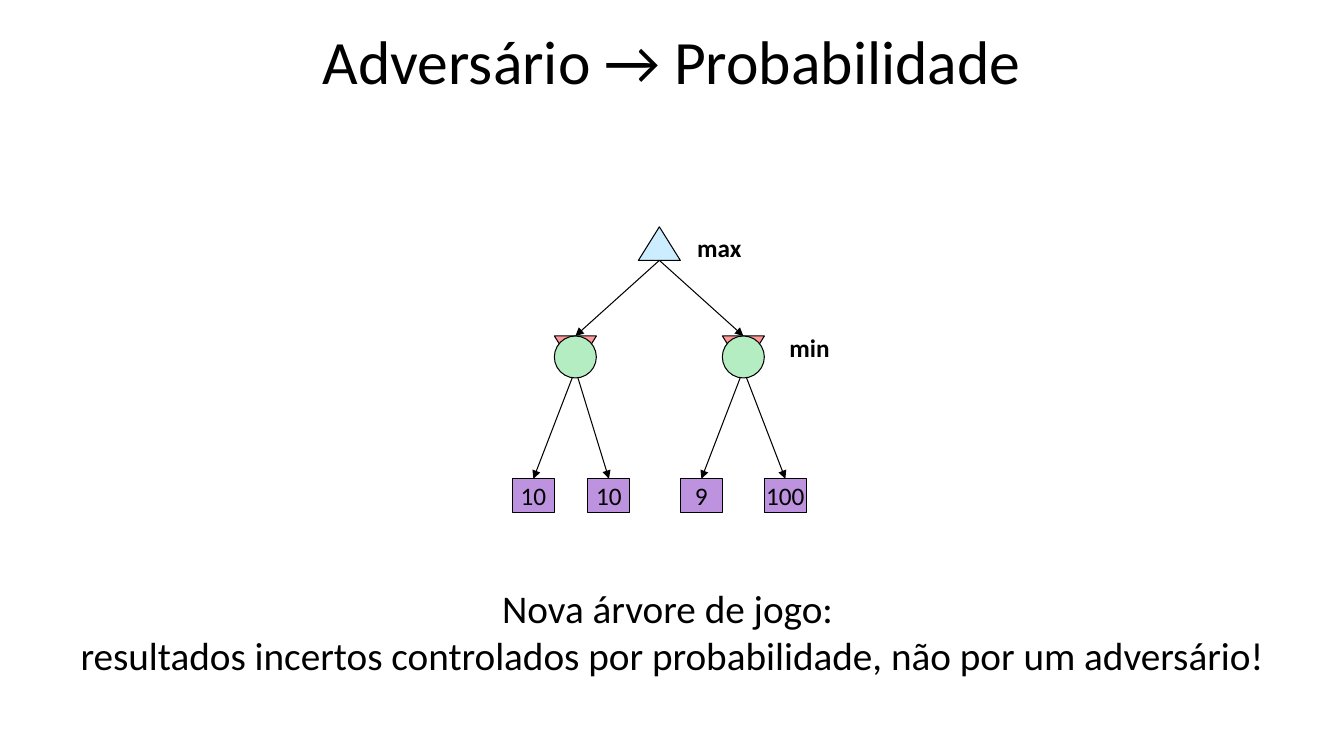
from lxml import etree
from pptx import Presentation
from pptx.dml.color import RGBColor
from pptx.enum.shapes import MSO_CONNECTOR, MSO_SHAPE
from pptx.enum.text import MSO_ANCHOR, MSO_AUTO_SIZE, PP_ALIGN
from pptx.oxml.ns import qn
from pptx.util import Pt

TRIANGLE = MSO_SHAPE.ISOSCELES_TRIANGLE
CIRCLE = MSO_SHAPE.OVAL
RECTANGLE = MSO_SHAPE.RECTANGLE
STRAIGHT = MSO_CONNECTOR.STRAIGHT
CENTER = PP_ALIGN.CENTER
MIDDLE, TOP = MSO_ANCHOR.MIDDLE, MSO_ANCHOR.TOP
NO_FIT, GROW = MSO_AUTO_SIZE.NONE, MSO_AUTO_SIZE.SHAPE_TO_FIT_TEXT

PAGE_WIDTH, PAGE_HEIGHT = 960, 540
NODE_WIDTH, NODE_HEIGHT = 30, 24
MAX_TOP, MIN_TOP, LEAF_TOP = 162, 240, 342
ROOT_CENTER = 471
# Centre of each chance node with the (centre, value) of its leaves
BRANCHES = {
    411: [(381, "10"), (435, "10")],
    531: [(501, "9"), (561, "100")],
}


def color(hex_value):
    return RGBColor.from_string(hex_value)


def write(frame, text, size=18, bold=False, anchor=MIDDLE, wrap=True, fit=NO_FIT):
    """Fill a text frame with centred paragraphs, one for each line."""
    frame.text = text
    frame.word_wrap = wrap
    frame.auto_size = fit
    frame.vertical_anchor = anchor
    for para in frame.paragraphs:
        para.alignment = CENTER
        for span in para.runs:
            span.font.name = "Calibri"
            span.font.size = Pt(size)
            span.font.bold = bold
            span.font.color.rgb = color("000000")


class SlideBuilder:
    ink = "000000"
    line_width = 0.75

    def __init__(self, deck):
        self.page = deck.slides.add_slide(deck.slide_layouts[5])

    def outline(self, line):
        line.color.rgb = color(self.ink)
        line.width = Pt(self.line_width)

    def title(self, text, left, top, width, height):
        box = self.page.shapes.title
        box.left, box.top, box.width, box.height = map(Pt, (left, top, width, height))
        write(box.text_frame, text, size=44)

    def node(self, kind, center, top, fill, height=NODE_HEIGHT, rotation=0, text=None):
        left = center - NODE_WIDTH / 2
        box = self.page.shapes.add_shape(
            kind, Pt(left), Pt(top), Pt(NODE_WIDTH), Pt(height))
        box.shadow.inherit = False
        box.rotation = rotation
        box.fill.solid()
        box.fill.fore_color.rgb = color(fill)
        self.outline(box.line)
        if text:
            write(box.text_frame, text, wrap=False)

    def arrow(self, x1, y1, x2, y2):
        edge = self.page.shapes.add_connector(STRAIGHT, Pt(x1), Pt(y1), Pt(x2), Pt(y2))
        self.outline(edge.line)
        etree.SubElement(edge.line._get_or_add_ln(), qn("a:tailEnd"), type="triangle")
        etree.SubElement(edge._element.spPr, qn("a:effectLst"))

    def text(self, text, left, top, width, height, **style):
        box = self.page.shapes.add_textbox(Pt(left), Pt(top), Pt(width), Pt(height))
        write(box.text_frame, text, fit=GROW, **style)


def main():
    deck = Presentation()
    deck.slide_width, deck.slide_height = Pt(PAGE_WIDTH), Pt(PAGE_HEIGHT)
    slide = SlideBuilder(deck)
    slide.title("Adversário → Probabilidade", 0, -2, PAGE_WIDTH, 90)

    # Game tree: max node, min nodes and leaves
    slide.node(TRIANGLE, ROOT_CENTER, MAX_TOP, "CCECFF")
    for center, leaves in BRANCHES.items():
        slide.node(TRIANGLE, center, MIN_TOP, "FF9999", rotation=180)
        for leaf_center, value in leaves:
            slide.node(RECTANGLE, leaf_center, LEAF_TOP, "BD92DE", text=value)

    # Edges
    for center, leaves in BRANCHES.items():
        slide.arrow(ROOT_CENTER, MAX_TOP + NODE_HEIGHT, center, MIN_TOP)
        for leaf_center, _ in leaves:
            slide.arrow(center, MIN_TOP + NODE_HEIGHT, leaf_center, LEAF_TOP)

    # Level labels
    slide.text("max", 487.5, MAX_TOP, 52.5, 29, bold=True)
    slide.text("min", 552, 234, 52.5, 29, bold=True)

    # Chance nodes cover the min nodes
    for center in BRANCHES:
        slide.node(CIRCLE, center, MIN_TOP, "B5EDC2", height=NODE_WIDTH)

    # Conclusion
    slide.text(
        "Nova árvore de jogo: \n"
        "resultados incertos controlados por probabilidade, não por um adversário!",
        0, 414, PAGE_WIDTH, 75, size=28, anchor=TOP)

    deck.save("out.pptx")


if __name__ == "__main__":
    main()
